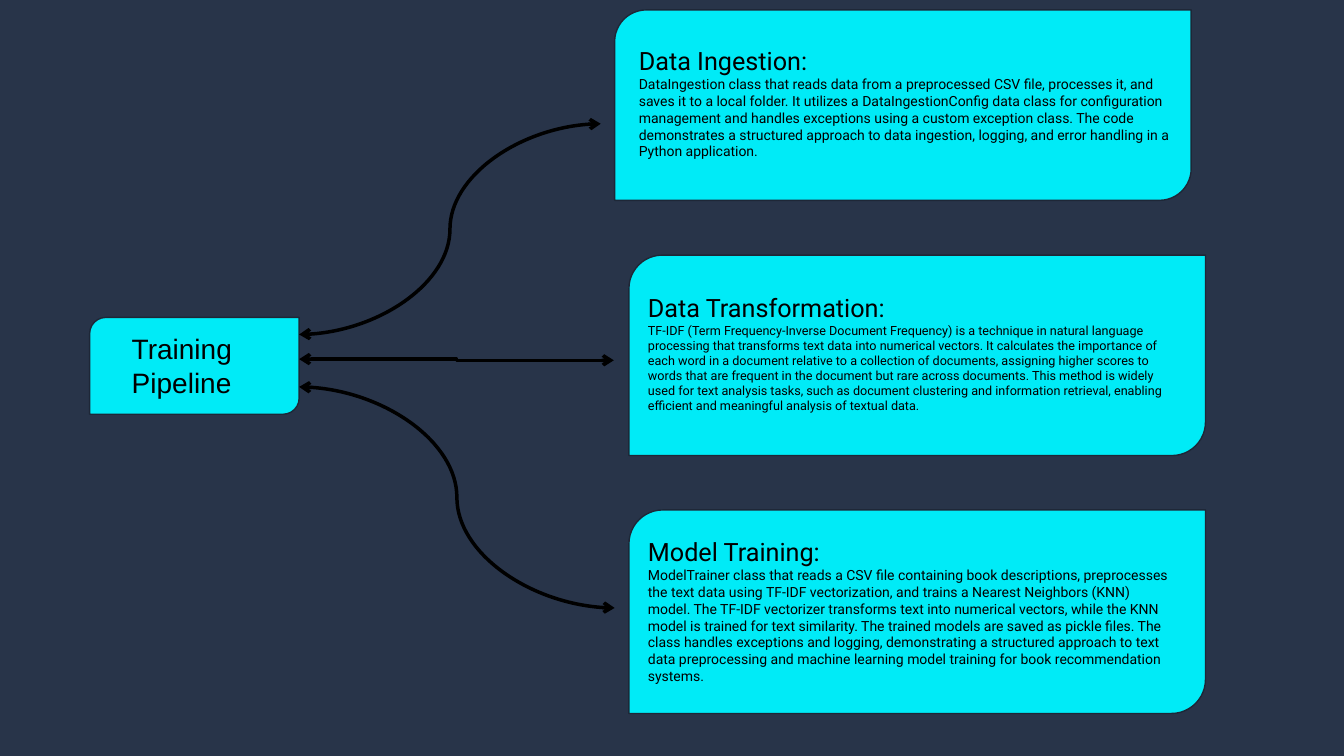
import pptx
import pptx.dml.color
import pptx.enum.shapes
import pptx.oxml
import pptx.oxml.ns
import pptx.util

Cm, Pt = pptx.util.Cm, pptx.util.Pt
CONNECTOR = pptx.enum.shapes.MSO_CONNECTOR


def colour(hex_value):
    return pptx.dml.color.RGBColor.from_string(hex_value)


class PipelineSlide:
    background, panel, outline, ink = "283449", "00EBF7", "1E2737", "000000"

    def __init__(self, slide):
        self.slide = slide
        slide.background.fill.solid()
        slide.background.fill.fore_color.rgb = colour(self.background)

    def card(self, left, top, width, height):
        shape = self.slide.shapes.add_shape(
            pptx.enum.shapes.MSO_SHAPE.ROUND_2_DIAG_RECTANGLE,
            Cm(left), Cm(top), Cm(width), Cm(height))
        shape.shadow.inherit = False
        shape.fill.solid()
        shape.fill.fore_color.rgb = colour(self.panel)
        shape.line.color.rgb = colour(self.outline)
        shape.line.width = Pt(1)

    def text(self, left, top, width, height, font, lines):
        """Each line is a (text, size) pair."""
        box = self.slide.shapes.add_textbox(Cm(left), Cm(top), Cm(width), Cm(height))
        frame = box.text_frame
        frame.word_wrap = True
        for index, (words, size) in enumerate(lines):
            paragraph = frame.add_paragraph() if index else frame.paragraphs[0]
            paragraph.text = words
            paragraph.font.name = font
            paragraph.font.size = Pt(size)
            paragraph.font.color.rgb = colour(self.ink)

    def double_arrow(self, kind, start, end):
        arrow = self.slide.shapes.add_connector(kind, *map(Cm, start + end))
        arrow.line.color.rgb = colour(self.ink)
        arrow.line.width = Pt(2.5)
        # Arrowheads at both ends, no shadow
        line = arrow.line._get_or_add_ln()
        for tag in ("a:headEnd", "a:tailEnd"):
            head = pptx.oxml.parse_xml(f'<{tag} {pptx.oxml.ns.nsdecls("a")} type="arrow"/>')
            line.append(head)
        arrow._element.spPr.append(
            pptx.oxml.parse_xml(f'<a:effectLst {pptx.oxml.ns.nsdecls("a")}/>'))


# Card place, text place, heading, description, description size
STAGES = [
    ((15.49, 0.25, 14.53, 4.8), (15.85, 1.02, 13.92, 2.74), "Data Ingestion:",
     "DataIngestion class that reads data from a preprocessed CSV file, processes it, and "
     "saves it to a local folder. It utilizes a DataIngestionConfig data class for "
     "configuration management and handles exceptions using a custom exception class. The "
     "code demonstrates a structured approach to data ingestion, logging, and error "
     "handling in a Python application.", 10),
    ((15.85, 6.43, 14.53, 5.05), (16.08, 7.24, 13.94, 3.56), "Data Transformation:",
     "TF-IDF (Term Frequency-Inverse Document Frequency) is a technique in natural language "
     "processing that transforms text data into numerical vectors. It calculates the "
     "importance of each word in a document relative to a collection of documents, "
     "assigning higher scores to words that are frequent in the document but rare across "
     "documents. This method is widely used for text analysis tasks, such as document "
     "clustering and information retrieval, enabling efficient and meaningful analysis of "
     "textual data.", 9),
    ((15.85, 12.85, 14.53, 5.13), (16.08, 13.39, 13.69, 3.76), "Model Training:",
     "ModelTrainer class that reads a CSV file containing book descriptions, preprocesses "
     "the text data using TF-IDF vectorization, and trains a Nearest Neighbors (KNN) model. "
     "The TF-IDF vectorizer transforms text into numerical vectors, while the KNN model is "
     "trained for text similarity. The trained models are saved as pickle files. The class "
     "handles exceptions and logging, demonstrating a structured approach to text data "
     "preprocessing and machine learning model training for book recommendation systems.",
     10),
]
# Arrow kind, start, end
ARROWS = [
    (CONNECTOR.CURVE, (7.54, 8.43), (15.14, 3.12)),
    (CONNECTOR.CURVE, (7.54, 9.75), (15.49, 15.32)),
    (CONNECTOR.ELBOW, (7.54, 9.05), (15.47, 9.08)),
]


def main():
    deck = pptx.Presentation()
    deck.slide_width, deck.slide_height = Cm(33.87), Cm(19.05)
    pipeline = PipelineSlide(deck.slides.add_slide(deck.slide_layouts[6]))

    # Root of the pipeline
    pipeline.card(2.26, 8, 5.28, 2.44)
    pipeline.text(3.07, 8.23, 9.68, 1.96, "Arial", [("Training", 20), ("Pipeline", 20)])

    # Links to the stages
    for kind, start, end in ARROWS:
        pipeline.double_arrow(kind, start, end)

    # Stages
    for card_place, text_place, heading, description, size in STAGES:
        pipeline.card(*card_place)
        pipeline.text(*text_place, "Roboto", [(heading, 18), (description, size)])

    deck.save("out.pptx")


if __name__ == "__main__":
    main()
